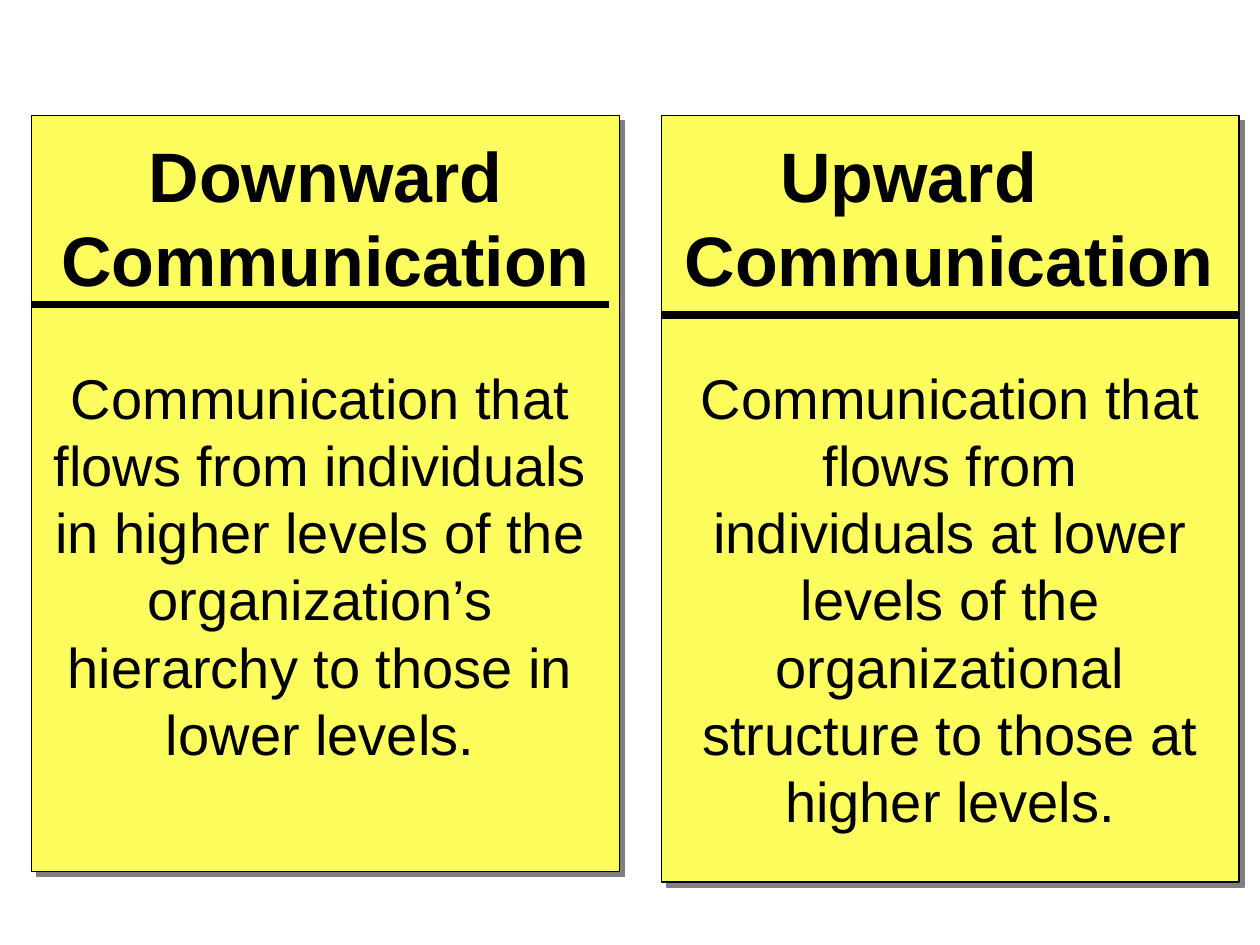
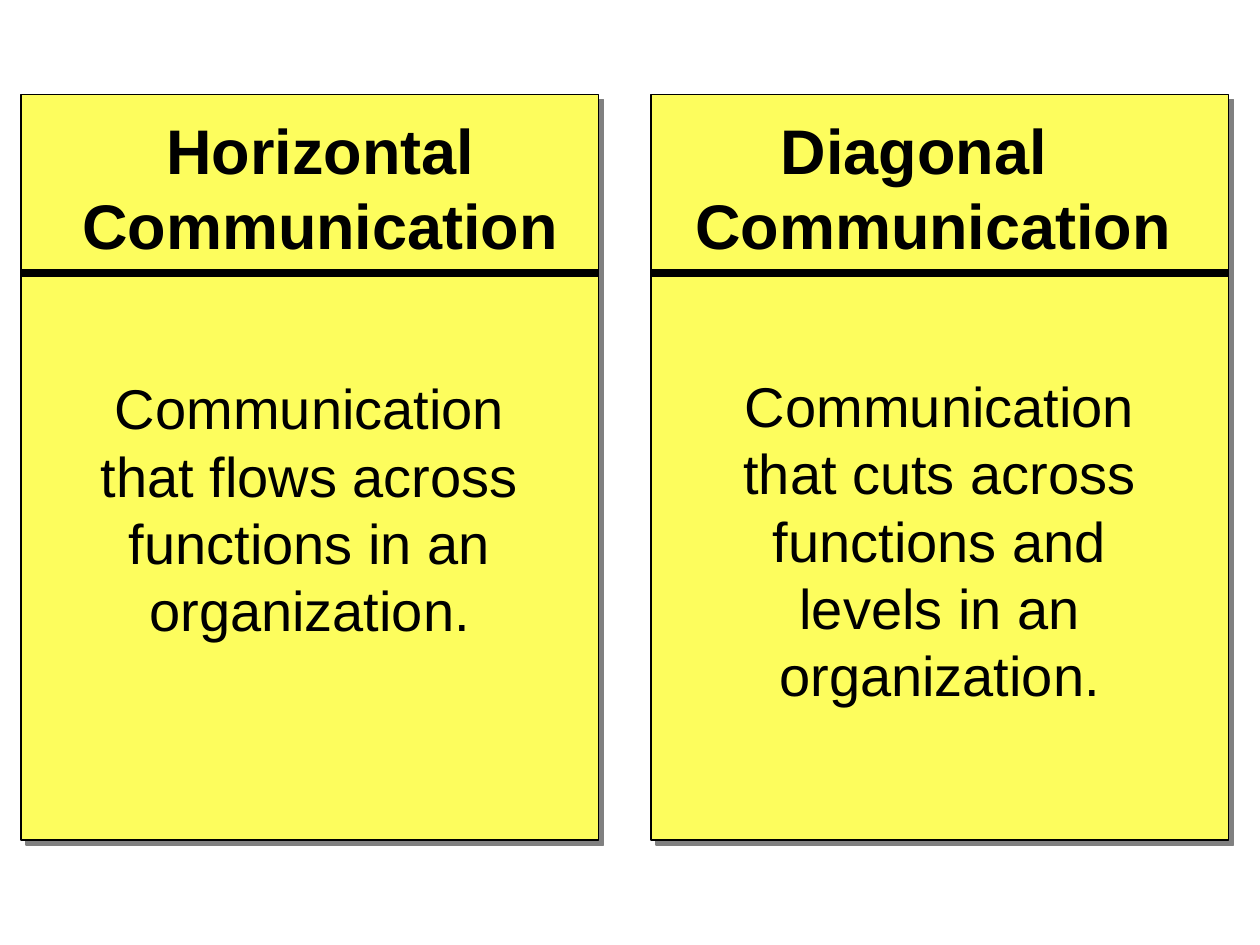
from dataclasses import dataclass

from lxml import etree
from pptx import Presentation
from pptx.dml.color import RGBColor
from pptx.enum.shapes import MSO_CONNECTOR, MSO_SHAPE
from pptx.enum.text import MSO_ANCHOR, MSO_AUTO_SIZE, PP_ALIGN
from pptx.oxml.ns import qn
from pptx.util import Inches, Pt

RECTANGLE = MSO_SHAPE.RECTANGLE
STRAIGHT = MSO_CONNECTOR.STRAIGHT
TOP = MSO_ANCHOR.TOP
GROW = MSO_AUTO_SIZE.SHAPE_TO_FIT_TEXT
CENTER, LEFT = PP_ALIGN.CENTER, PP_ALIGN.LEFT

COLUMNS, ROWS = 120, 90
CELL = Inches(10) // COLUMNS
COMPARISON_LAYOUT = 4
YELLOW, BLACK, GRAY = "FDFD5D", "000000", "808080"
FONT = "Arial"
DESCRIPTION_SIZE = 32
LINE_HEIGHT = 1.2
INSETS = Inches(0.1)


@dataclass(frozen=True)
class TextArea:
    """Text with its place in grid cells and its first-line indent in inches."""

    text: str
    left: float
    top: float
    width: float
    lines: int
    indent: float = 0


@dataclass(frozen=True)
class Card:
    """A definition card measured in grid cells."""

    left: float
    top: float
    width: float
    height: float
    rule_row: float
    heading: TextArea
    description: TextArea


@dataclass(frozen=True)
class CardSlide:
    """A pair of cards and the size of their headings."""

    heading_size: int
    cards: tuple[Card, Card]


SLIDES = (
    CardSlide(40, (
        Card(3, 11, 56, 72, 29,
             TextArea("Downward Communication", 4, 12, 54, 2),
             TextArea("Communication that flows from individuals in higher levels of the "
                      "organization’s hierarchy to those in lower levels.", 3, 34, 55, 6)),
        Card(63, 11, 55, 73, 30,
             TextArea("Upward Communication", 64, 12, 53, 2, 0.76),
             TextArea("Communication that flows from individuals at lower levels of the "
                      "organizational structure to those at higher levels.", 64, 34, 53, 7)),
    )),
    CardSlide(36, (
        Card(2, 9, 55, 71, 26,
             TextArea("Horizontal Communication", 5, 10, 51, 2),
             TextArea("Communication that flows across functions in an organization.",
                      7, 35, 45, 4)),
        Card(62, 9, 55, 71, 26,
             TextArea("Diagonal Communication", 65, 10, 48, 2, 0.68),
             TextArea("Communication that cuts across functions and levels in an organization.",
                      65, 34.8, 49, 5)),
    )),
)


def color(value: str) -> RGBColor:
    """Turn a hex string into a colour."""
    return RGBColor.from_string(value)


def cells(*counts: float) -> list[int]:
    """Convert grid cells to slide lengths."""
    return [round(count * CELL) for count in counts]


def add_shadow(panel) -> None:
    """Give a panel a hard gray shadow to the lower right."""
    panel.shadow.inherit = False
    effects = panel._element.spPr.find(qn("a:effectLst"))
    shadow = etree.SubElement(effects, qn("a:outerShdw"), dist=str(Pt(4.2)),
                              dir="2700000", algn="ctr", rotWithShape="0")
    etree.SubElement(shadow, qn("a:srgbClr"), val=GRAY)


def draw_panel(slide, card: Card) -> None:
    """Draw the yellow panel of a card."""
    panel = slide.shapes.add_shape(
        RECTANGLE, *cells(card.left, card.top, card.width, card.height))
    panel.fill.solid()
    panel.fill.fore_color.rgb = color(YELLOW)
    panel.line.color.rgb = color(BLACK)
    panel.line.width = Pt(0.75)
    add_shadow(panel)


def draw_rule(slide, card: Card) -> None:
    """Draw the heavy line below a heading."""
    right = card.left + 55
    rule = slide.shapes.add_connector(
        STRAIGHT, *cells(card.left, card.rule_row, right, card.rule_row))
    rule.line.color.rgb = color(BLACK)
    rule.line.width = Pt(4.5)
    etree.SubElement(rule._element.spPr, qn("a:effectLst"))


def fill_placeholder(slide, index: int, area: TextArea, size: int, bold: bool) -> None:
    """Place, fill and format a placeholder in front of the panels."""
    holder = slide.placeholders[index]
    slide.shapes._spTree.append(holder._element)
    holder.left, holder.top, holder.width = cells(area.left, area.top, area.width)
    holder.height = Pt(area.lines * size * LINE_HEIGHT) + INSETS
    frame = holder.text_frame
    frame.text = area.text
    frame.word_wrap = True
    frame.auto_size = GROW
    frame.vertical_anchor = TOP
    paragraph = frame.paragraphs[0]
    properties = paragraph._p.get_or_add_pPr()
    properties.set("marL", "0")
    properties.set("indent", str(Inches(area.indent)))
    etree.SubElement(properties, qn("a:buNone"))
    paragraph.alignment = LEFT if area.indent else CENTER
    paragraph.space_before = Pt(0)
    font = paragraph.runs[0].font
    font.name, font.size, font.bold = FONT, Pt(size), bold
    font.color.rgb = color(BLACK)


def build_slide(presentation, content: CardSlide) -> None:
    """Build one slide with its two cards."""
    slide = presentation.slides.add_slide(presentation.slide_layouts[COMPARISON_LAYOUT])
    unused_title = slide.shapes.title._element
    unused_title.getparent().remove(unused_title)
    for card, heading_index in zip(content.cards, (1, 3)):
        draw_panel(slide, card)
        fill_placeholder(slide, heading_index, card.heading, content.heading_size, True)
        fill_placeholder(slide, heading_index + 1, card.description, DESCRIPTION_SIZE, False)
        draw_rule(slide, card)


def main() -> None:
    """Build and save the presentation."""
    presentation = Presentation()
    presentation.slide_width, presentation.slide_height = cells(COLUMNS, ROWS)
    for content in SLIDES:
        build_slide(presentation, content)
    presentation.save("out.pptx")


if __name__ == "__main__":
    main()
